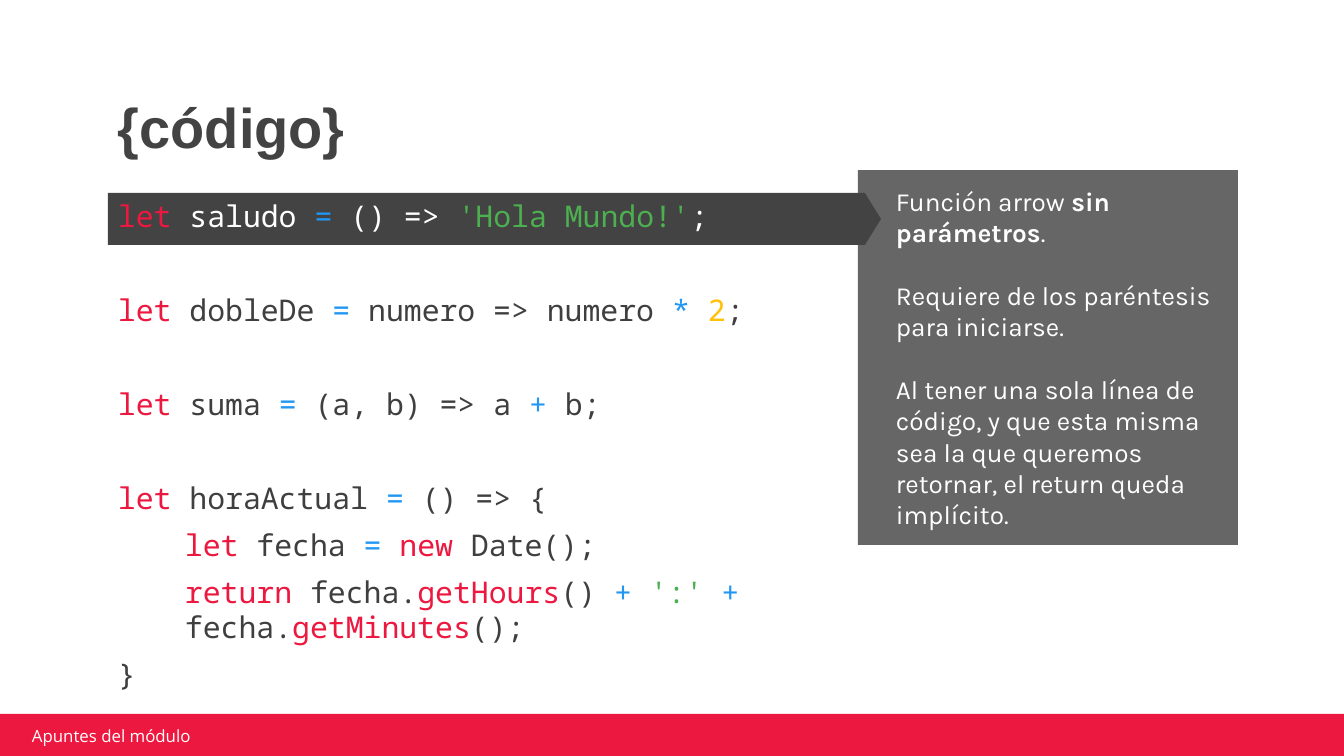
from pptx import Presentation
from pptx.dml.color import RGBColor
from pptx.enum.shapes import MSO_SHAPE
from pptx.enum.text import MSO_ANCHOR, PP_ALIGN
from pptx.util import Emu, Pt

EMU_PER_PX = 914400 / 134.4
COLORS = {
    "red": "EC183F", "dark": "434343", "gray": "666666", "white": "FFFFFF",
    "plain": "3F3F3F", "blue": "2196F3", "green": "4CAF50", "amber": "FFC107",
}


def px(n):
    return Emu(round(n * EMU_PER_PX))


def color(name):
    return RGBColor.from_string(COLORS[name])


class Deck:
    """Holds the style and the current slide."""

    def __init__(self, width, height):
        self.prs = Presentation()
        self.prs.slide_width, self.prs.slide_height = px(width), px(height)
        self.slide = self.prs.slides.add_slide(self.prs.slide_layouts[6])

    def shape(self, kind, box, fill, adjustments=()):
        sp = self.slide.shapes.add_shape(kind, *map(px, box))
        sp.shadow.inherit = False
        sp.fill.solid()
        sp.fill.fore_color.rgb = color(fill)
        sp.line.fill.background()
        for i, value in enumerate(adjustments):
            sp.adjustments[i] = value
        return sp

    def textbox(self, box):
        return self.slide.shapes.add_textbox(*map(px, box))

    def frame(self, sp, insets, anchor=MSO_ANCHOR.MIDDLE):
        tf = sp.text_frame
        tf.word_wrap = True
        tf.vertical_anchor = anchor
        (tf.margin_left, tf.margin_top,
         tf.margin_right, tf.margin_bottom) = map(px, insets)
        return tf

    def paragraph(self, tf, runs, font, size, ink=None, before=0, indent=0):
        """Add a paragraph; runs are (text, colour, bold) with optional tails."""
        p = tf.paragraphs[0]
        if p.runs:
            p = tf.add_paragraph()
        p.alignment = PP_ALIGN.LEFT
        p.space_before = Pt(before)
        p.font.name, p.font.size = font, Pt(size)
        if ink:
            p.font.color.rgb = color(ink)
        if indent:
            p._p.get_or_add_pPr().set("marL", str(px(indent)))
        for text, run_ink, bold in runs:
            r = p.add_run()
            r.text = text
            if run_ink:
                r.font.color.rgb = color(run_ink)
            if bold:
                r.font.bold = True
        return p

    def code(self, tf, tokens, before=6, indent=0):
        runs = [(text, ink, False) for ink, text in tokens]
        self.paragraph(tf, runs, "Noto Sans Mono", 16, None, before, indent)


GAP = 31  # space before a statement that follows an empty line
INDENT = 67
LET, EQUALS = ("red", "let"), ("blue", "=")

# (space before, indent, coloured tokens)
CODE = [
    (6, 0, [LET, ("white", " saludo "), EQUALS, ("white", " () => "),
            ("green", "'Hola Mundo!'"), ("white", ";")]),
    (GAP, 0, [LET, ("plain", " dobleDe "), EQUALS,
              ("plain", " numero => numero "), ("blue", "* "),
              ("amber", "2"), ("plain", ";")]),
    (GAP, 0, [LET, ("plain", " suma "), EQUALS, ("plain", " (a, b) => a "),
              ("blue", "+"), ("plain", " b;")]),
    (GAP, 0, [LET, ("plain", " horaActual "), EQUALS, ("plain", " () => {")]),
    (6, INDENT, [LET, ("plain", " fecha "), ("blue", "= "), ("red", "new"),
                 ("plain", " Date();")]),
    (6, INDENT, [("red", "return"), ("plain", " fecha."), ("red", "getHours"),
                 ("plain", "() "), ("blue", "+ "), ("green", "':' "),
                 ("blue", "+"), ("plain", " fecha."), ("red", "getMinutes"),
                 ("plain", "();")]),
    (6, 0, [("plain", "}")]),
]

NOTES = [
    [("Función arrow ", None, False), ("sin parámetros", None, True),
     (".", None, False)],
    [("Requiere de los paréntesis para iniciarse.", None, False)],
    [("Al tener una sola línea de código, y que esta misma sea la que "
      "queremos retornar, el return queda implícito.", None, False)],
]


def main():
    s = Deck(1344, 756)

    # Title
    tf = s.frame(s.textbox((105, 81, 1133, 93)), [13] * 4, MSO_ANCHOR.BOTTOM)
    p = s.paragraph(tf, [("{código}", None, False)], "Arial", 30, "dark")
    p.font.bold = True
    p.line_spacing = 0.9

    # Explanation panel
    panel = s.shape(MSO_SHAPE.RECTANGLE, (858, 170, 380, 375), "gray")
    tf = s.frame(panel, (38, 0, 0, 0))
    for i, runs in enumerate(NOTES):
        s.paragraph(tf, runs, "Karla", 14, "white", before=16.8 if i else 0)

    # Highlight arrow behind the first statement
    s.shape(MSO_SHAPE.RIGHT_ARROW, (108, 193, 773, 52), "dark", (1, 0.31))

    # Code
    tf = s.frame(s.textbox((105, 195, 747, 500)), [13] * 4)
    for before, indent, tokens in CODE:
        s.code(tf, tokens, before, indent)

    # Footer
    s.shape(MSO_SHAPE.RECTANGLE, (-3, 714, 1348, 49), "red")
    tf = s.frame(s.textbox((26, 726, 321, 20)), (6, 3, 6, 3))
    s.paragraph(tf, [("Apuntes del módulo", None, False)],
                "Open Sans", 9, "white")

    s.prs.save("out.pptx")


if __name__ == "__main__":
    main()
